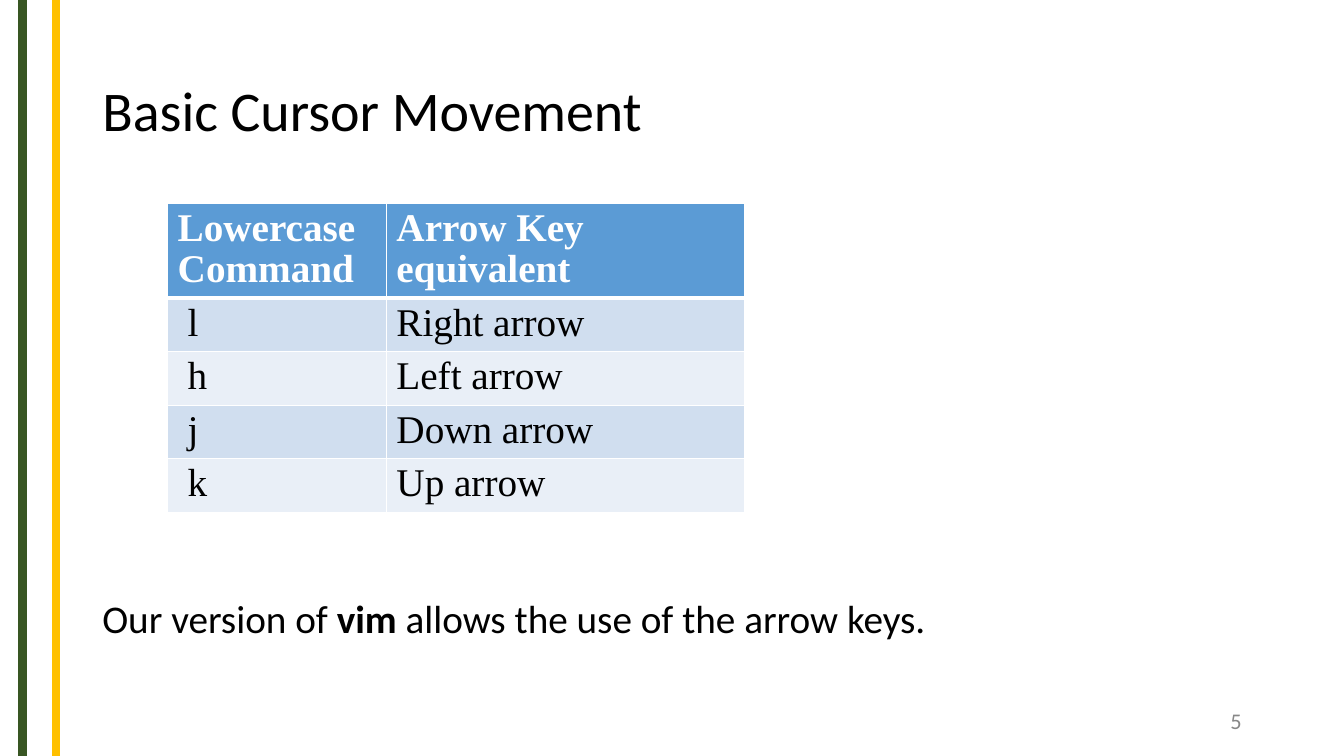
import pptx
import pptx.dml.color
import pptx.enum.shapes
import pptx.enum.text
import pptx.oxml
import pptx.oxml.ns
import pptx.util

Pt = pptx.util.Pt
RGBColor = pptx.dml.color.RGBColor
Anchor = pptx.enum.text.MSO_ANCHOR
Align = pptx.enum.text.PP_ALIGN

BLACK = RGBColor(0, 0, 0)
WHITE = RGBColor(255, 255, 255)
GREY = RGBColor(0x88, 0x88, 0x88)
GREEN = RGBColor(0x38, 0x56, 0x23)
GOLD = RGBColor(0xFF, 0xC0, 0x00)
HEADER_BLUE = RGBColor(0x5B, 0x9B, 0xD5)
BANDS = (RGBColor(0xE9, 0xEF, 0xF7), RGBColor(0xD0, 0xDE, 0xEF))

COMMANDS = [
    ("Lowercase Command", "Arrow Key equivalent"),
    ("l", "Right arrow"),
    ("h", "Left arrow"),
    ("j", "Down arrow"),
    ("k", "Up arrow"),
]


class SlideBuilder:
    """Draws styled elements on one slide, with lengths in points."""

    text_font = "Calibri"
    table_font = "Times New Roman"
    margins = {"margin_left": Pt(7.2), "margin_right": Pt(7.2),
               "margin_top": Pt(3.6), "margin_bottom": Pt(3.6)}

    def __init__(self, slide):
        self.slide = slide

    def apply(self, target, formats):
        for name, value in formats.items():
            setattr(target, name, value)

    def add_words(self, paragraph, text, size, color, bold=False, font=text_font):
        run = paragraph.add_run()
        run.text = text
        self.apply(run.font, {"name": font, "size": Pt(size), "bold": bold})
        run.font.color.rgb = color

    def stripe(self, x, color):
        line = self.slide.shapes.add_connector(
            pptx.enum.shapes.MSO_CONNECTOR.STRAIGHT, Pt(x), Pt(0), Pt(x), Pt(540))
        line.line.width = Pt(6)
        line.line.color.rgb = color
        line._element.spPr.append(pptx.oxml.parse_xml(
            f"<a:effectLst {pptx.oxml.ns.nsdecls('a')}/>"))

    def title(self, text, left, top, width, height):
        heading = self.slide.shapes.title
        self.apply(heading, {"left": Pt(left), "top": Pt(top),
                             "width": Pt(width), "height": Pt(height)})
        self.apply(heading.text_frame, {
            "word_wrap": True, "vertical_anchor": Anchor.MIDDLE, **self.margins})
        paragraph = heading.text_frame.paragraphs[0]
        self.apply(paragraph, {"alignment": Align.LEFT, "line_spacing": 0.9})
        self.add_words(paragraph, text, 40, BLACK)

    def text(self, parts, left, top, width, height, size, color,
             align=Align.LEFT, anchor=Anchor.TOP):
        frame = self.slide.shapes.add_textbox(
            Pt(left), Pt(top), Pt(width), Pt(height)).text_frame
        self.apply(frame, {"word_wrap": True, "vertical_anchor": anchor, **self.margins})
        frame.paragraphs[0].alignment = align
        for part, bold in parts:
            self.add_words(frame.paragraphs[0], part, size, color, bold)

    def borders(self, cell, bottom):
        properties = cell._tc.get_or_add_tcPr()
        for side, width in {"L": 1, "R": 1, "T": 1, "B": bottom}.items():
            properties.append(pptx.oxml.parse_xml(
                f"<a:ln{side} {pptx.oxml.ns.nsdecls('a')} w=\"{Pt(width)}\">"
                f"<a:solidFill><a:srgbClr val=\"{WHITE}\"/></a:solidFill></a:ln{side}>"))

    def table(self, rows, left, top, widths, header_height, row_height):
        heights = [header_height] + [row_height] * (len(rows) - 1)
        grid = self.slide.shapes.add_table(
            len(rows), len(widths), Pt(left), Pt(top),
            Pt(sum(widths)), Pt(sum(heights))).table
        for column, width in zip(grid.columns, widths):
            column.width = Pt(width)
        for i, (values, height) in enumerate(zip(rows, heights)):
            grid.rows[i].height = Pt(height)
            header = i == 0
            for j, value in enumerate(values):
                cell = grid.cell(i, j)
                self.apply(cell, self.margins)
                if j == 0 and not header:
                    cell.margin_left = Pt(14.2)
                self.borders(cell, 3 if header else 1)
                cell.fill.solid()
                cell.fill.fore_color.rgb = HEADER_BLUE if header else BANDS[i % 2]
                paragraph = cell.text_frame.paragraphs[0]
                paragraph.line_spacing = 0.95
                self.add_words(paragraph, value, 28, WHITE if header else BLACK,
                               header, self.table_font)


def main():
    deck = pptx.Presentation()
    deck.slide_width, deck.slide_height = Pt(960), Pt(540)
    builder = SlideBuilder(deck.slides.add_slide(deck.slide_layouts[5]))
    builder.stripe(16, GREEN)
    builder.stripe(40, GOLD)
    builder.title("Basic Cursor Movement", 66, 28.75, 828, 104.4)
    builder.table(COMMANDS, 119.75, 145, (156.25, 256), 68, 38.25)
    builder.text([("5", False)], 678, 500.5, 216, 28.75, 16, GREY,
                 Align.RIGHT, Anchor.MIDDLE)
    builder.text([("Our version of ", False), ("vim", True),
                  (" allows the use of the arrow keys.", False)],
                 66, 421.2, 625, 41, 28, BLACK)
    deck.save("out.pptx")


if __name__ == "__main__":
    main()
